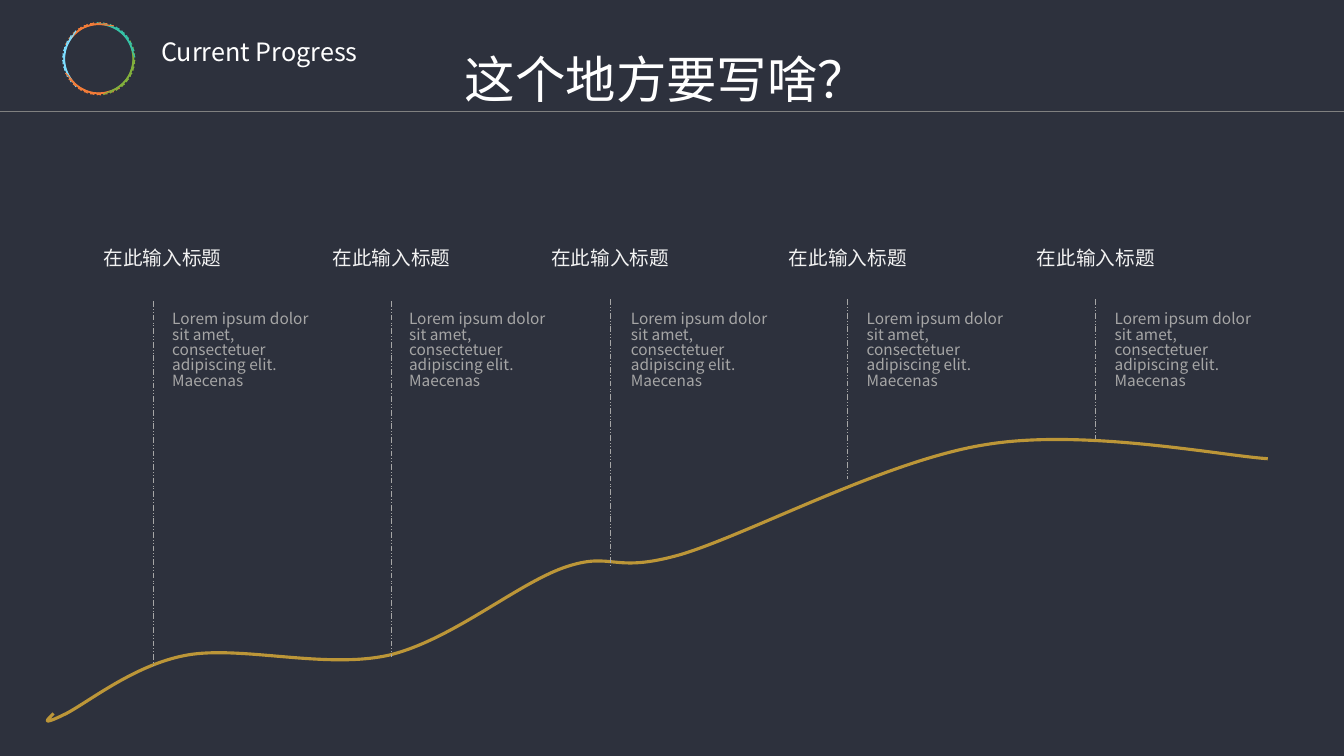
from math import cos, radians, sin

from lxml.etree import SubElement
from pptx import Presentation
from pptx.dml.color import RGBColor
from pptx.enum.dml import MSO_LINE as Dash
from pptx.enum.shapes import MSO_CONNECTOR as Connector, MSO_SHAPE as Shape
from pptx.enum.text import MSO_ANCHOR as Anchor, MSO_AUTO_SIZE as AutoSize, PP_ALIGN as Align
from pptx.oxml.ns import qn
from pptx.util import Cm, Pt

FONT = "Noto Sans CJK SC"
BLUE, ORANGE, GREEN, TEAL = "7DDDFF", "F37C38", "82B03C", "36C2A7"
WHITE, GREY = "FFFFFF", "A6A6A6"
RING_RUNS = [(BLUE, 4), (ORANGE, 7), (GREEN, 8), (TEAL, 6), (ORANGE, 6), (BLUE, 3)]
HEADING = "在此输入标题"
BODY = "Lorem ipsum dolor sit amet, consectetuer adipiscing elit. Maecenas"

# marker x, marker top, marker bottom, heading left, body left
STAGES = [
    (3.86, 7.59, 16.81, 2.21, 4.09),
    (9.86, 7.59, 16.56, 7.98, 10.06),
    (15.39, 7.54, 14.25, 13.49, 15.65),
    (21.36, 7.54, 12.07, 19.48, 21.59),
    (27.61, 7.54, 11.07, 25.73, 27.84),
]
CURVE_START = (1.35, 17.98)
CURVE_POINTS = [
    (1.19, 18.14), (1.02, 18.29), (1.57, 18.03),
    (2.13, 17.78), (3.33, 16.76), (4.7, 16.51),
    (6.07, 16.26), (8.2, 16.87), (9.8, 16.51),
    (11.38, 16.13), (13, 14.73), (14.22, 14.3),
    (15.47, 13.87), (15.39, 14.48), (17.17, 13.97),
    (18.92, 13.44), (22.38, 11.58), (24.87, 11.2),
    (27.33, 10.8), (30.76, 11.48), (31.95, 11.56),
]


def color(hex_code):
    """Turn a hex string into a colour."""
    return RGBColor.from_string(hex_code)


def write(frame, text, size, ink, align=Align.LEFT, spacing=0.88):
    """Write one formatted run into a text frame."""
    frame.word_wrap = True
    frame.auto_size = AutoSize.SHAPE_TO_FIT_TEXT
    frame.vertical_anchor = Anchor.TOP
    paragraph = frame.paragraphs[0]
    paragraph.alignment = align
    paragraph.line_spacing = spacing
    run = paragraph.add_run()
    run.text = text
    run.font.size = Pt(size)
    run.font.name = FONT
    run.font.color.rgb = color(ink)
    SubElement(run.font._element, qn("a:ea")).set("typeface", FONT)


def add_label(slide, left, top, width, height, *text_style, **layout):
    """Add a text box holding one run."""
    label = slide.shapes.add_textbox(Cm(left), Cm(top), Cm(width), Cm(height))
    write(label.text_frame, *text_style, **layout)


def add_title(slide, text):
    """Place and fill the title placeholder."""
    title = slide.shapes.title
    title.left, title.top = Cm(11.46), Cm(1.27)
    title.width, title.height = Cm(9.5), Cm(1.8)
    write(title.text_frame, text, 36, WHITE)


def add_rule(slide, start, end, ink, dash=None):
    """Draw a thin straight line between two points."""
    rule = slide.shapes.add_connector(
        Connector.STRAIGHT, *(Cm(value) for value in start + end))
    rule.line.width = Pt(0.5)
    rule.line.color.rgb = color(ink)
    if dash:
        rule.line.dash_style = dash
    SubElement(rule._element.spPr, qn("a:effectLst"))


def add_ring(slide, center_x, center_y, radius):
    """Draw a ring of short coloured ticks."""
    ring = slide.shapes.add_group_shape()
    inks = [ink for ink, count in RING_RUNS for _ in range(count)]
    length, thickness = 0.6, 0.03
    for index, ink in enumerate(inks):
        angle = (270 - index * 360 / len(inks)) % 360
        x = center_x + radius * sin(radians(angle))
        y = center_y - radius * cos(radians(angle))
        tick = ring.shapes.add_shape(
            Shape.RECTANGLE, Cm(x - length / 2), Cm(y - thickness / 2),
            Cm(length), Cm(thickness))
        tick.rotation = angle
        tick.shadow.inherit = False
        tick.fill.solid()
        tick.fill.fore_color.rgb = color(ink)
        tick.line.fill.background()


def add_curve(slide, start, points, ink):
    """Draw a smooth open curve through cubic Bezier segments."""
    units = [(round(x * 100), round(y * 100)) for x, y in [start] + points]
    builder = slide.shapes.build_freeform(*units[0], scale=Cm(0.01))
    builder.add_line_segments(units[1:], close=False)
    curve = builder.convert_to_shape()
    curve.shadow.inherit = False
    curve.fill.background()
    curve.line.color.rgb = color(ink)
    curve.line.width = Pt(2.25)
    outline = next(curve._element.iter(qn("a:path")))
    steps = outline.findall(qn("a:lnTo"))
    for first in range(0, len(steps), 3):
        bezier = SubElement(outline, qn("a:cubicBezTo"))
        for step in steps[first:first + 3]:
            bezier.append(step[0])
            outline.remove(step)


def main():
    """Build the progress slide."""
    deck = Presentation()
    deck.slide_width, deck.slide_height = Cm(33.87), Cm(19.05)
    slide = deck.slides.add_slide(deck.slide_layouts[5])
    slide.background.fill.solid()
    slide.background.fill.fore_color.rgb = color("2D313D")

    add_ring(slide, 2.49, 1.48, 0.86)
    add_rule(slide, (0, 2.8), (33.87, 2.8), "808080")
    add_label(slide, 3.81, 0.89, 8.48, 1.02, "Current Progress", 18, WHITE)
    add_title(slide, "这个地方要写啥？")
    add_curve(slide, CURVE_START, CURVE_POINTS, "BC9638")
    for marker_x, top, bottom, heading_left, body_left in STAGES:
        add_rule(slide, (marker_x, top), (marker_x, bottom), GREY, Dash.DASH_DOT_DOT)
        add_label(slide, heading_left, 6.15, 3.78, 0.86, HEADING, 14, "F2F2F2",
                  align=Align.CENTER)
        add_label(slide, body_left, 7.75, 4.34, 2.13, BODY, 11, GREY, spacing=0.83)
    deck.save("out.pptx")


if __name__ == "__main__":
    main()
